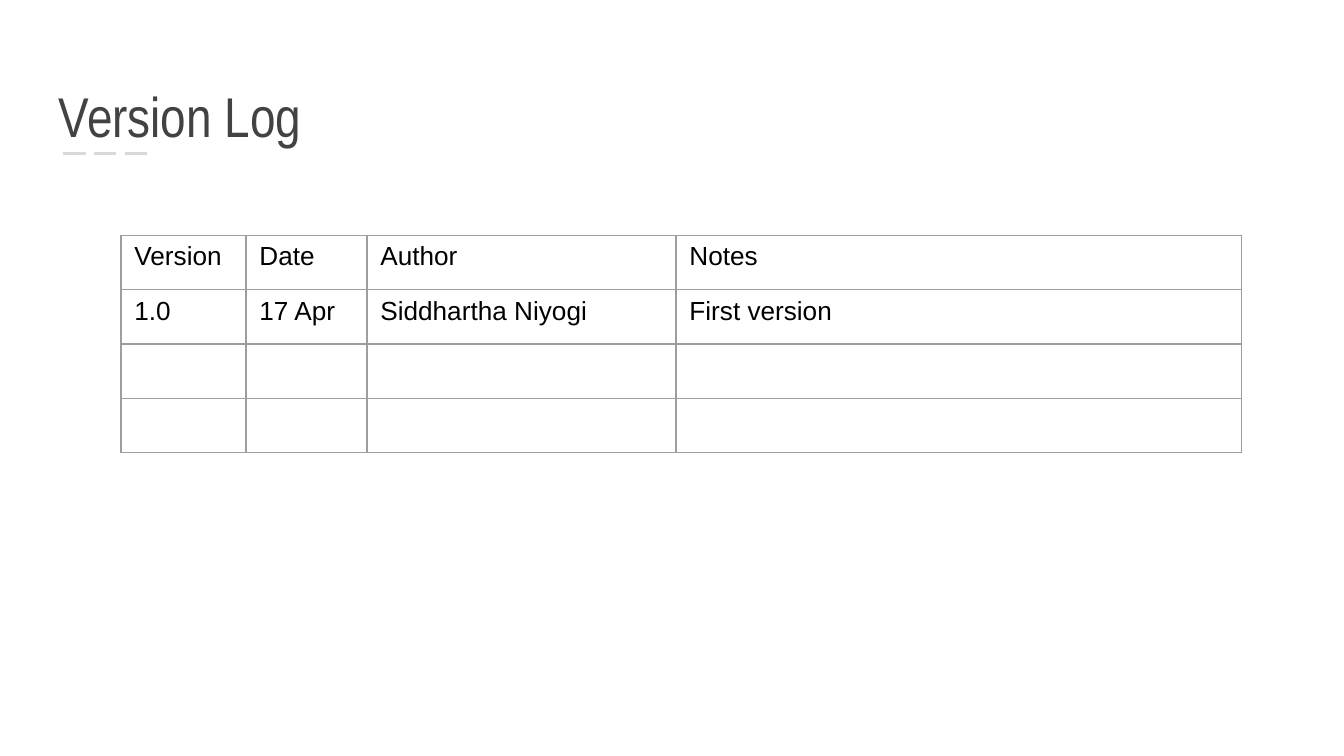
"""Build the Version Log slide: a dashed-underlined title above a bordered table."""
from dataclasses import dataclass

from lxml.etree import SubElement
from pptx import Presentation
from pptx.dml.color import RGBColor as RGB
from pptx.enum.dml import MSO_LINE_DASH_STYLE as Dash
from pptx.enum.shapes import MSO_CONNECTOR as Conn
from pptx.enum.text import MSO_ANCHOR as Anchor
from pptx.oxml.ns import qn
from pptx.util import Inches, Pt


@dataclass(frozen=True)
class Theme:
    title_font: str = "Arial Narrow"
    body_font: str = "Arial"
    title_size: int = 30
    body_size: int = 14
    title: str = "424242"
    text: str = "000000"
    rule: str = "D9D9D9"
    border: str = "9E9E9E"
    back: str = "FFFFFF"


def style(font, name, size, color):
    font.name, font.size = name, Pt(size)
    font.color.rgb = RGB.from_string(color)


def add_borders(cell, color, width):
    tc_pr = cell._tc.get_or_add_tcPr()
    for i, side in enumerate(("lnL", "lnR", "lnT", "lnB")):
        ln = SubElement(tc_pr, qn(f"a:{side}"), w=str(Pt(width)))
        fill = SubElement(ln, qn("a:solidFill"))
        SubElement(fill, qn("a:srgbClr"), val=color)
        tc_pr.insert(i, ln)


theme = Theme()
prs = Presentation()
prs.slide_width = Inches(10)
prs.slide_height = prs.slide_width * 9 // 16
s = prs.slides.add_slide(prs.slide_layouts[6])
s.background.fill.solid()
s.background.fill.fore_color.rgb = RGB.from_string(theme.back)

rule_y = Inches(1.14)
rule = s.shapes.add_connector(Conn.STRAIGHT, Inches(0.47), rule_y, Inches(1.14), rule_y)
rule.line.color.rgb = RGB.from_string(theme.rule)
rule.line.width = Pt(1.5)
rule.line.dash_style = Dash.LONG_DASH
SubElement(rule._element.spPr, qn("a:effectLst"))

margin = Inches(0.34)
title = s.shapes.add_textbox(margin, Inches(0.41), prs.slide_width - 2 * margin, Inches(0.8))
tf = title.text_frame
tf.word_wrap = True
tf.vertical_anchor = Anchor.BOTTOM
tf.margin_left = tf.margin_right = tf.margin_top = tf.margin_bottom = Inches(0.1)
tf.text = "Version Log"
style(tf.paragraphs[0].runs[0].font, theme.title_font, theme.title_size, theme.title)

log = [
    ("Version", "Date", "Author", "Notes"),
    ("1.0", "17 Apr", "Siddhartha Niyogi", "First version"),
    ("",) * 4,
    ("",) * 4,
]
col_widths = [0.93, 0.9, 2.3, 4.21]
table_height = Inches(1.62)
table = s.shapes.add_table(len(log), len(col_widths), Inches(0.9), Inches(1.75),
                           Inches(sum(col_widths)), table_height).table
table.first_row = table.horz_banding = False
for column, width in zip(table.columns, col_widths):
    column.width = Inches(width)
for row, entries in zip(table.rows, log):
    row.height = table_height // len(log)
    for cell, entry in zip(row.cells, entries):
        cell.fill.background()
        add_borders(cell, theme.border, 0.75)
        cell.text = entry
        p = cell.text_frame.paragraphs[0]
        for item in (p, *p.runs):
            style(item.font, theme.body_font, theme.body_size, theme.text)

prs.save("out.pptx")
